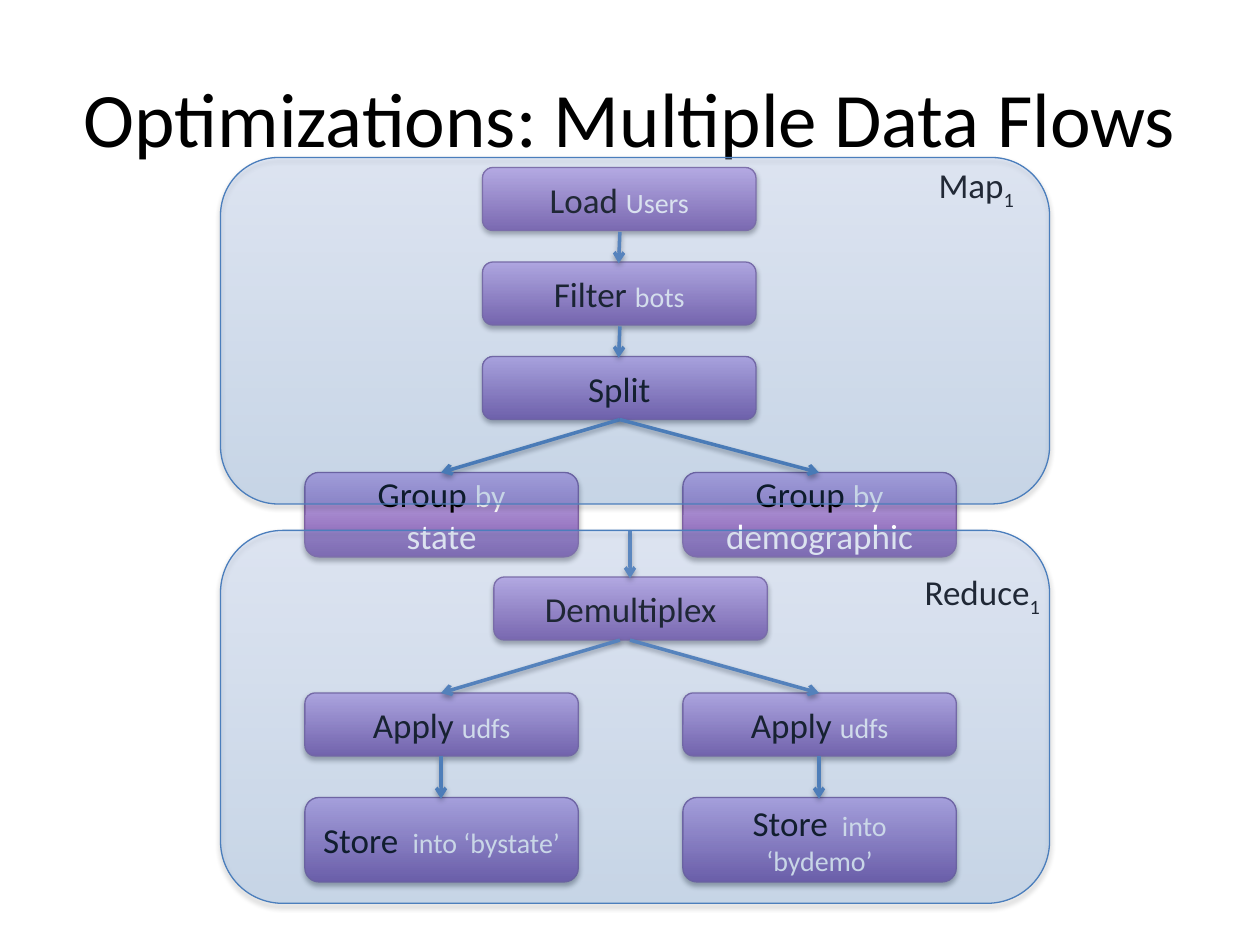
from pptx import Presentation
from pptx.dml.color import RGBColor
from pptx.enum.shapes import MSO_CONNECTOR, MSO_SHAPE
from pptx.enum.text import MSO_ANCHOR, PP_ALIGN
from pptx.oxml import parse_xml
from pptx.oxml.ns import nsdecls, qn
from pptx.util import Inches, Pt
from lxml import etree

ROUNDED = MSO_SHAPE.ROUNDED_RECTANGLE
STRAIGHT = MSO_CONNECTOR.STRAIGHT
MIDDLE = MSO_ANCHOR.MIDDLE
CENTER, LEFT = PP_ALIGN.CENTER, PP_ALIGN.LEFT

FONT = "Calibri"
BLACK, WHITE = "000000", "FFFFFF"
ARROW_BLUE = "4F81BD"
SHADOW = (
    f'<a:effectLst {nsdecls("a")}><a:outerShdw blurRad="39400" dist="{{dist}}" dir="5400000" '
    'rotWithShape="0"><a:srgbClr val="000000"><a:alpha val="{alpha}"/></a:srgbClr>'
    '</a:outerShdw></a:effectLst>'
)


def color(hex_code):
    return RGBColor.from_string(hex_code)


def write(frame, *lines, align=CENTER, anchor=MIDDLE, wrap=True):
    """Write lines, each a list of (text, size, colour, baseline in percent)."""
    frame.word_wrap = wrap
    frame.vertical_anchor = anchor
    for number, line in enumerate(lines):
        paragraph = frame.add_paragraph() if number else frame.paragraphs[0]
        paragraph.alignment = align
        for text, size, hex_code, baseline in line:
            run = paragraph.add_run()
            run.text = text
            run.font.name = FONT
            run.font.size = Pt(size)
            run.font.color.rgb = color(hex_code)
            if baseline:
                run.font._element.set("baseline", str(baseline * 1000))


prs = Presentation()
prs.slide_width, prs.slide_height = Inches(10), Inches(7.5)
slide = prs.slides.add_slide(prs.slide_layouts[5])
shapes = slide.shapes

# Title
title = shapes.title
title.left, title.top = Inches(0.5), Inches(0.3)
title.width, title.height = Inches(9), Inches(1.25)
write(title.text_frame, [("Optimizations: Multiple Data Flows", 44, BLACK, 0)])

# Operators: left, top, height, operator, argument, argument size, second line
STATE, DEMO, TRUNK = 2.42, 5.42, 3.83
operators = [
    (TRUNK, 1.33, 0.5, "Load ", "Users", 16, ""),
    (TRUNK, 2.08, 0.5, "Filter ", "bots", 16, ""),
    (TRUNK, 2.83, 0.5, "Split", "", 16, ""),
    (3.92, 4.58, 0.5, "Demultiplex", "", 16, ""),
]
for left, key, target in ((STATE, "state", "bystate"), (DEMO, "demographic", "bydemo")):
    operators += [
        (left, 3.75, 0.67, "Group ", "by", 18, key),
        (left, 5.5, 0.5, "Apply ", "udfs", 16, ""),
        (left, 6.33, 0.67, "Store ", f" into ‘{target}’", 16, ""),
    ]

panels = []
for left, top, height, operator, argument, size, key in operators:
    box = shapes.add_shape(ROUNDED, Inches(left), Inches(top), Inches(2.17), Inches(height))
    lines = [[(operator, 20, BLACK, 0)]]
    if argument:
        lines[0].append((argument, size, WHITE, 0))
    if key:
        lines.append([(key, 20, WHITE, 0)])
    write(box.text_frame, *lines)
    panels.append((box, ("7F5BAB", "C8B0ED"), "7D60A0", 100))

# Data flow arrows: start x, start y, end x, end y
flows = [
    (4.92, 1.84, 4.91, 2.09), (4.92, 2.59, 4.91, 2.84),
    (4.92, 3.33, 3.5, 3.75), (4.92, 3.33, 6.5, 3.75),
    (5, 4.21, 5, 4.59),
    (4.92, 5.08, 3.5, 5.5), (5, 5.08, 6.5, 5.5),
    (3.5, 6, 3.5, 6.34), (6.5, 6, 6.5, 6.34),
]
for flow in flows:
    arrow = shapes.add_connector(STRAIGHT, *(Inches(value) for value in flow))
    arrow.line.color.rgb = color(ARROW_BLUE)
    arrow.line.width = Pt(2)
    properties = arrow._element.spPr
    etree.SubElement(properties.find(qn("a:ln")), qn("a:tailEnd"), type="arrow")
    properties.append(parse_xml(SHADOW.format(dist=20000, alpha=38000)))

# Phases: a label, and a translucent panel laid over the operators
for name, left, top, width, wrap in (
    ("Map", 7.35, 1.25, 0.82, False),
    ("Reduce", 7.24, 4.48, 1.26, True),
):
    label = shapes.add_textbox(Inches(left), Inches(top), Inches(width), Inches(0.44))
    write(label.text_frame, [(name, 20, BLACK, 0), ("1", 20, BLACK, -25)],
          align=LEFT, anchor=MSO_ANCHOR.TOP, wrap=wrap)

for top, height in ((4.21, 2.96), (1.25, 2.75)):
    phase = shapes.add_shape(ROUNDED, Inches(1.75), Inches(top), Inches(6.58), Inches(height))
    panels.append((phase, ("3F80CE", "A4C4FF"), "4B7EBC", 21))

# Gradient, outline and shadow of operators and phases
for panel, stop_colors, outline, opacity in panels:
    panel.fill.gradient()
    panel.fill.gradient_angle = 90
    for stop, hex_code in zip(panel.fill.gradient_stops, stop_colors):
        stop.color.rgb = color(hex_code)
    properties = panel._element.spPr
    if opacity < 100:
        for stop_color in properties.iter(qn("a:srgbClr")):
            etree.SubElement(stop_color, qn("a:alpha"), val=str(opacity * 1000))
    panel.line.color.rgb = color(outline)
    panel.line.width = Pt(0.75)
    properties.append(parse_xml(SHADOW.format(dist=23000, alpha=35000)))

prs.save("out.pptx")
